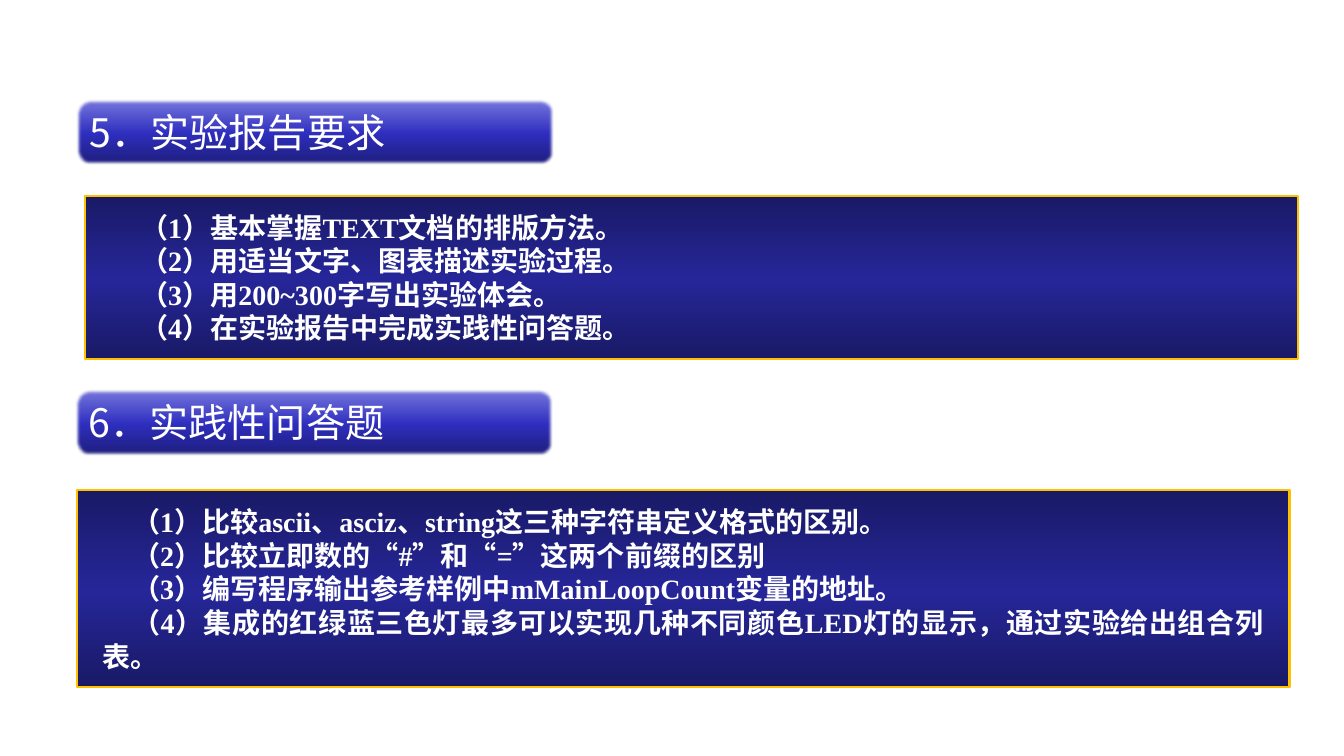
from lxml import etree
from pptx import Presentation
from pptx.dml.color import RGBColor
from pptx.enum import shapes, text
from pptx.oxml import parse_xml
from pptx.oxml.ns import nsdecls, qn
from pptx.util import Inches, Pt

HEADING_STOPS = [(0, "1E1E7C"), (48, "2F2FC0"), (100, "7878DE")]
BOX_STOPS = [(0, "191966"), (51, "262699"), (100, "191966")]
CHINESE_FONT = "Noto Sans CJK SC"

sections = [
    (0.76, 0.99, "5．实验报告要求", 0.84, 1.94, 1.62, [
        "（1）基本掌握TEXT文档的排版方法。",
        "（2）用适当文字、图表描述实验过程。",
        "（3）用200~300字写出实验体会。",
        "（4）在实验报告中完成实践性问答题。",
    ]),
    (0.75, 3.87, "6．实践性问答题", 0.76, 4.86, 1.96, [
        "（1）比较ascii、asciz、string这三种字符串定义格式的区别。",
        "（2）比较立即数的“#”和“=”这两个前缀的区别",
        "（3）编写程序输出参考样例中mMainLoopCount变量的地址。",
        "（4）集成的红绿蓝三色灯最多可以实现几种不同颜色LED灯的显示，通过实验给出组合列表。",
    ]),
]


def add_gradient_panel(kind, left, top, width, height, stops, angle):
    """Add a shape with a linear gradient; angle is clockwise in degrees."""
    panel = slide.shapes.add_shape(
        kind, Inches(left), Inches(top), Inches(width), Inches(height))
    panel.shadow.inherit = False
    stop_xml = "".join(
        f'<a:gs pos="{position * 1000}"><a:srgbClr val="{color}"/></a:gs>'
        for position, color in stops)
    gradient = parse_xml(
        f'<a:gradFill {nsdecls("a")} rotWithShape="1"><a:gsLst>{stop_xml}</a:gsLst>'
        f'<a:lin ang="{angle * 60000}" scaled="0"/></a:gradFill>')
    panel._element.spPr.find(qn("a:prstGeom")).addnext(gradient)
    return panel


def write_paragraph(paragraph, words, size, font, bold, align):
    paragraph.text = words
    paragraph.alignment = align
    run = paragraph.runs[0]
    run.font.size = Pt(size)
    run.font.name = font
    run.font.bold = bold
    run.font.color.rgb = RGBColor.from_string("FFFFFF")
    east_asian = etree.SubElement(run._r.rPr, qn("a:ea"))
    east_asian.set("typeface", CHINESE_FONT)


presentation = Presentation()
presentation.slide_width = Inches(13.33)
presentation.slide_height = Inches(7.5)
slide = presentation.slides.add_slide(presentation.slide_layouts[6])

for heading_left, heading_top, title, box_left, box_top, box_height, items in sections:
    heading = add_gradient_panel(
        shapes.MSO_SHAPE.ROUNDED_RECTANGLE, heading_left, heading_top, 4.72, 0.64,
        HEADING_STOPS, 270)
    heading.line.color.rgb = RGBColor.from_string("808080")
    heading.line.width = Pt(0.75)
    effects = heading._element.spPr.find(qn("a:effectLst"))
    etree.SubElement(effects, qn("a:softEdge")).set("rad", str(Pt(2.5)))
    heading.text_frame.word_wrap = False
    heading.text_frame.vertical_anchor = text.MSO_ANCHOR.TOP
    write_paragraph(heading.text_frame.paragraphs[0], title, 28, CHINESE_FONT,
                    False, text.PP_ALIGN.LEFT)

    box = add_gradient_panel(
        shapes.MSO_SHAPE.RECTANGLE, box_left, box_top, 12.03, box_height, BOX_STOPS, 90)
    box.line.color.rgb = RGBColor.from_string("FFC000")
    box.line.width = Pt(1.5)
    frame = box.text_frame
    frame.word_wrap = True
    frame.vertical_anchor = text.MSO_ANCHOR.MIDDLE
    frame.margin_left = frame.margin_right = Inches(0.26)
    frame.margin_top = frame.margin_bottom = Inches(0.14)
    frame.text = "\n".join(items)
    for paragraph, item in zip(frame.paragraphs, items):
        write_paragraph(paragraph, item, 20, "Times New Roman", True,
                        text.PP_ALIGN.JUSTIFY)
        paragraph.line_spacing = Pt(24)
        paragraph._p.get_or_add_pPr().set("indent", str(Inches(0.29)))

presentation.save("out.pptx")
